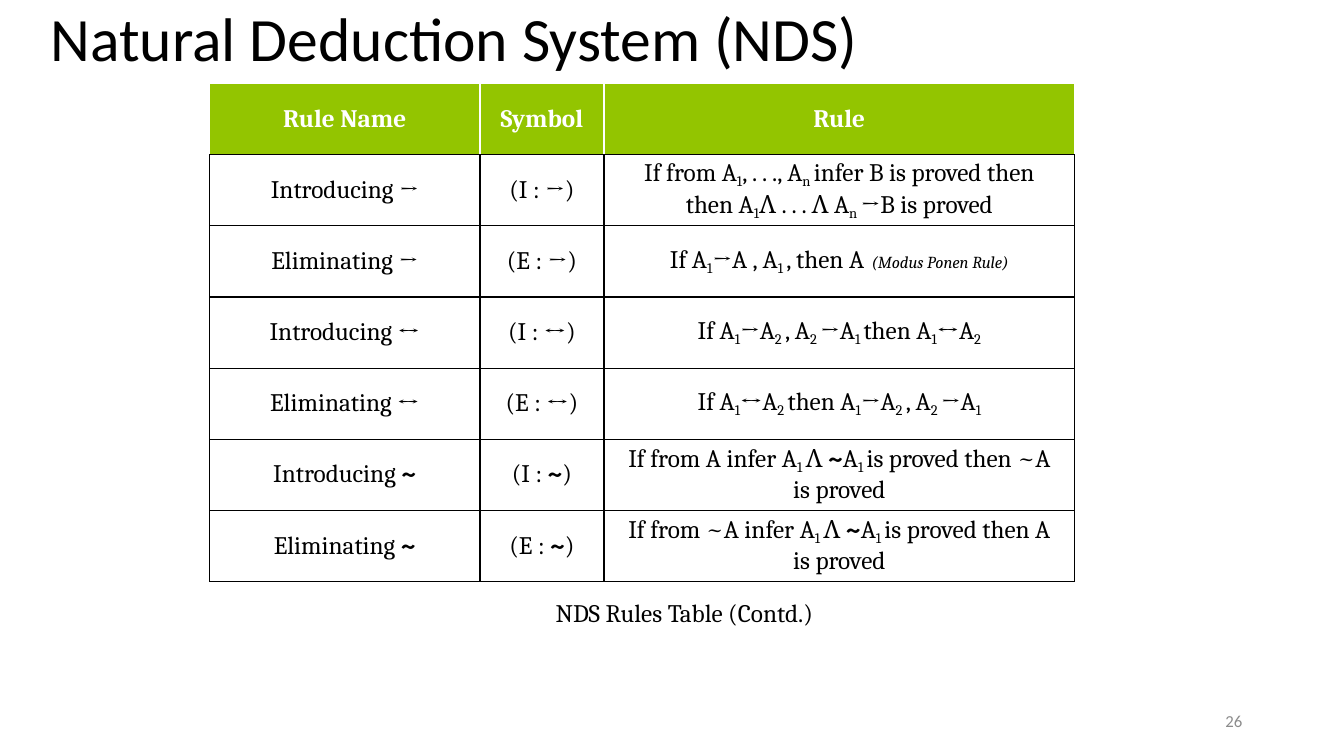
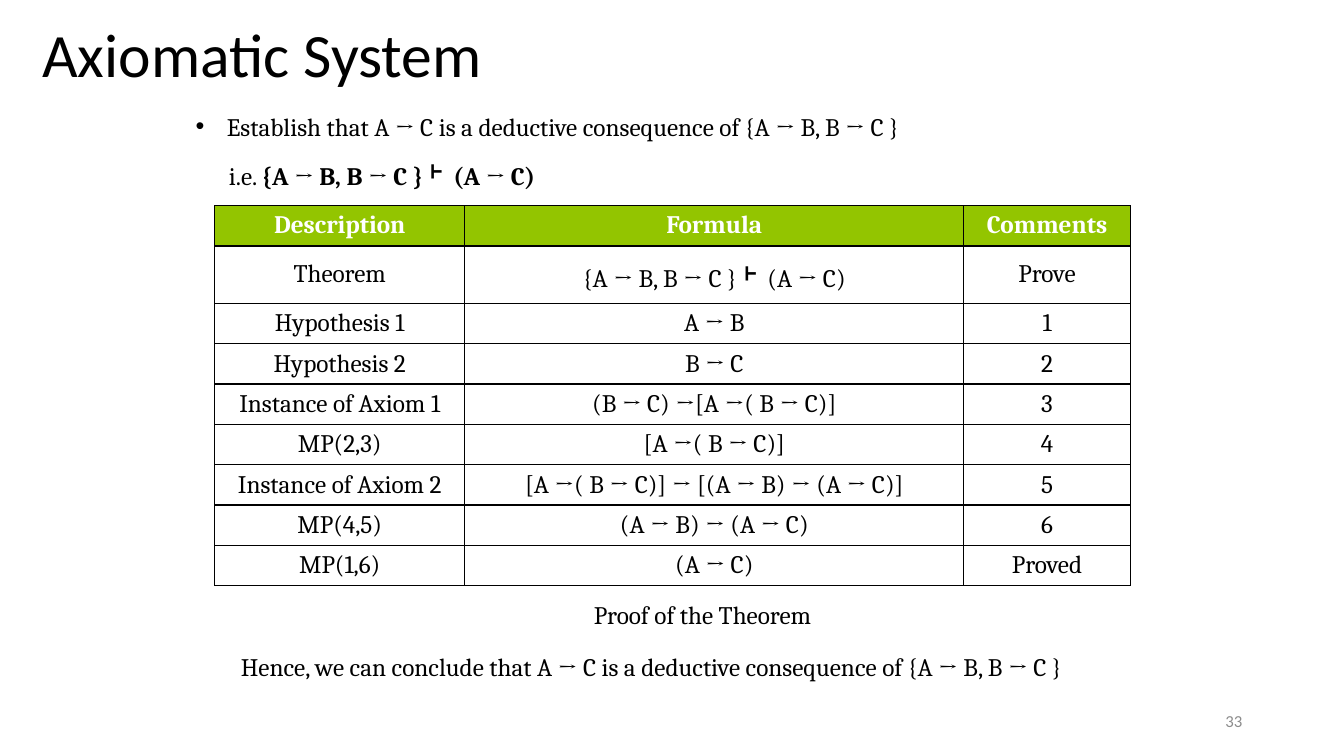
import lxml.etree
import pptx
import pptx.dml.color
import pptx.enum.text
import pptx.oxml.ns
import pptx.util

Inches = pptx.util.Inches
ALIGN = pptx.enum.text.PP_ALIGN
ANCHOR = pptx.enum.text.MSO_ANCHOR


def rgb(value):
    return pptx.dml.color.RGBColor.from_string(value)


def add_xml(parent, tag, **attributes):
    return lxml.etree.SubElement(parent, pptx.oxml.ns.qn(tag), attributes)


def bold(text):
    return text, {"bold": True}


def sub(text):
    return text, {"baseline": "-21000"}


def large(text, heavy=False):
    return text, {"size": 28, "bold": heavy}


def atom(index):
    return ["A", sub(index)]


class Deck:
    BLACK, WHITE, GREEN, GREY = "000000", "FFFFFF", "93C500", "8C8C8C"
    HEADING_FONT, TEXT_FONT = "Calibri", "Cambria"
    TITLE_SIZE, TEXT_SIZE, NUMBER_SIZE = 44, 18, 12
    TITLE_HEIGHT = Inches(0.68)

    def __init__(self):
        self.presentation = pptx.Presentation()
        self.presentation.slide_width = Inches(13.33)
        self.presentation.slide_height = Inches(7.5)
        self.slide = None

    def new_slide(self, layout):
        layouts = self.presentation.slide_layouts
        self.slide = self.presentation.slides.add_slide(layouts.get_by_name(layout))

    def runs(self, paragraph, pieces, size=TEXT_SIZE, font=TEXT_FONT, color=BLACK):
        for piece in pieces:
            text, style = (piece, {}) if isinstance(piece, str) else piece
            run = paragraph.add_run()
            run.text = text
            run.font.name = font
            run.font.size = pptx.util.Pt(style.get("size", size))
            run.font.bold = style.get("bold", False)
            run.font.italic = style.get("italic", False)
            run.font.color.rgb = rgb(color)
            if "baseline" in style:
                run.font._element.set("baseline", style["baseline"])

    def layout(self, paragraph, left=0, hanging=0, before=0, align=ALIGN.LEFT):
        paragraph.alignment = align
        paragraph.space_before = pptx.util.Pt(before)
        properties = paragraph._p.get_or_add_pPr()
        properties.set("marL", str(Inches(left)))
        properties.set("indent", str(Inches(-hanging)))
        return properties

    def frame(self, shape, margin=0.0, top=0.0, anchor=ANCHOR.TOP):
        frame = shape.text_frame
        frame.word_wrap = True
        frame.auto_size = pptx.enum.text.MSO_AUTO_SIZE.NONE
        frame.vertical_anchor = anchor
        frame.margin_left = frame.margin_right = Inches(margin)
        frame.margin_top = frame.margin_bottom = Inches(top)
        return frame

    def place(self, shape, left, top, width, height):
        shape.left, shape.top = Inches(left), Inches(top)
        shape.width, shape.height = Inches(width), height

    def title(self, text, left, top, width):
        heading = self.slide.shapes.title
        self.place(heading, left, top, width, self.TITLE_HEIGHT)
        paragraph = self.frame(heading, anchor=ANCHOR.MIDDLE).paragraphs[0]
        self.layout(paragraph)
        paragraph.line_spacing = 0.9
        self.runs(paragraph, [text], self.TITLE_SIZE, self.HEADING_FONT)

    def body(self, lines, left, top, width, height):
        statement = self.slide.placeholders[1]
        self.place(statement, left, top, width, Inches(height))
        frame = self.frame(statement, top=0.05)
        for index, pieces in enumerate(lines):
            paragraph = frame.add_paragraph() if index else frame.paragraphs[0]
            if index:
                add_xml(self.layout(paragraph, 0.35, before=3.7), "a:buNone")
            else:
                properties = self.layout(paragraph, 0.33, 0.31)
                add_xml(properties, "a:buFont", typeface="Arial")
                add_xml(properties, "a:buChar", char="•")
            self.runs(paragraph, pieces)

    def text(self, lines, left, top, width, height):
        box = self.slide.shapes.add_textbox(*map(Inches, (left, top, width, height)))
        frame = self.frame(box)
        for index, (pieces, indent) in enumerate(lines):
            paragraph = frame.add_paragraph() if index else frame.paragraphs[0]
            self.layout(paragraph, indent, before=15 if index else 0)
            self.runs(paragraph, pieces)

    def number(self, value):
        box = self.slide.shapes.add_textbox(*map(Inches, (9.42, 6.95, 3, 0.4)))
        paragraph = self.frame(box, 0.1, 0.05, ANCHOR.MIDDLE).paragraphs[0]
        self.layout(paragraph, align=ALIGN.RIGHT)
        self.runs(paragraph, [value], self.NUMBER_SIZE, self.HEADING_FONT, self.GREY)

    def border(self, cell, colors):
        properties = cell._tc.get_or_add_tcPr()
        for position, (side, color) in enumerate(zip("LRTB", colors)):
            line = lxml.etree.Element(pptx.oxml.ns.qn("a:ln" + side), w=str(pptx.util.Pt(1)))
            add_xml(add_xml(line, "a:solidFill"), "a:srgbClr", val=color)
            properties.insert(position, line)

    def cell(self, cell, lines, header, header_line):
        cell.margin_left = cell.margin_right = cell.margin_top = cell.margin_bottom = 0
        cell.vertical_anchor = ANCHOR.MIDDLE
        for index, pieces in enumerate(lines):
            frame = cell.text_frame
            paragraph = frame.add_paragraph() if index else frame.paragraphs[0]
            properties = self.layout(paragraph, align=ALIGN.CENTER)
            if any("\t" in piece for piece in pieces):
                stops = add_xml(properties, "a:tabLst")
                add_xml(stops, "a:tab", pos=str(Inches(2.43)), algn="l")
            self.runs(paragraph, pieces, color=self.WHITE if header else self.BLACK)
        if header:
            cell.fill.solid()
            cell.fill.fore_color.rgb = rgb(self.GREEN)
        else:
            cell.fill.background()
        self.border(cell, [header_line if header else self.BLACK] * 3 + [self.BLACK])

    def table(self, headings, rows, left, top, widths, heights, header_line=BLACK):
        grid = [[[[bold(heading)]] for heading in headings]] + rows
        table = self.slide.shapes.add_table(
            len(grid), len(widths), Inches(left), Inches(top),
            Inches(sum(widths)), Inches(sum(heights))).table
        table.first_row = table.horz_banding = False
        for column, width in zip(table.columns, widths):
            column.width = Inches(width)
        for row, height in zip(table.rows, heights):
            row.height = Inches(height)
        for r, row in enumerate(grid):
            for c, lines in enumerate(row):
                self.cell(table.cell(r, c), lines, r == 0, header_line)


def deduction_rules():
    arrow, double, negation = bold("→"), bold("↔"), bold("~")
    rules = [
        [["If from ", *atom("1"), ", . . ., ", *atom("n "), "infer B is proved then"],
         ["then ", *atom("1"), "Ʌ . . . Ʌ ", *atom("n "), "→B is proved"]],
        [["If ", *atom("1"), "→A , ", *atom("1 "), ", then A\t",
          ("(Modus Ponen Rule)", {"size": 12, "italic": True})]],
        [["If ", *atom("1"), arrow, *atom("2 "), ", ", *atom("2 "), arrow, *atom("1 "),
          "then ", *atom("1"), double, *atom("2")]],
        [["If ", *atom("1"), double, *atom("2 "), "then ", *atom("1"), arrow, *atom("2 "),
          ", ", *atom("2 "), arrow, *atom("1")]],
    ]
    for premise, conclusion in (("A", "~A"), ("~A", "A")):
        rules.append([
            [f"If from {premise} infer ", *atom("1 "), "Ʌ ", negation, *atom("1 "),
             f"is proved then {conclusion}"],
            ["is proved"]])
    kinds = [(verb, symbol) for symbol in "→↔~" for verb in ("Introducing", "Eliminating")]
    return [
        [[[verb + " ", symbol if symbol == "↔" else bold(symbol)]],
         [[f"({verb[0]} : ", bold(symbol), ")"]],
         rule]
        for (verb, symbol), rule in zip(kinds, rules)]


def proof_steps():
    steps = [
        ("Theorem", ["{A → B, B → C } ", large("˫ "), "(A → C)"], "Prove"),
        ("Hypothesis 1", ["A → B"], "1"),
        ("Hypothesis 2", ["B → C"], "2"),
        ("Instance of Axiom 1", ["(B → C) →[A →( B → C)]"], "3"),
        ("MP(2,3)", ["[A →( B → C)]"], "4"),
        ("Instance of Axiom 2", ["[A →( B → C)] → [(A → B) → (A → C)]"], "5"),
        ("MP(4,5)", ["(A → B) → (A → C)"], "6"),
        ("MP(1,6)", ["(A → C)"], "Proved"),
    ]
    return [[[[step]], [formula], [[comment]]] for step, formula, comment in steps]


def main():
    deck = Deck()

    deck.new_slide("Title Only")
    deck.title("Natural Deduction System (NDS)", 0.5, 0.07, 9.17)
    deck.table(["Rule Name", "Symbol", "Rule"], deduction_rules(), 2.08, 0.83,
               [2.68, 1.23, 4.67], [4.94 / 7] * 7, Deck.WHITE)
    deck.text([(["NDS Rules Table (Contd.)"], 0.01)], 5.5, 5.93, 2.69, 0.33)
    deck.number("26")

    deck.new_slide("Title and Content")
    deck.title("Axiomatic System", 0.42, 0.23, 4.73)
    claim = "A → C is a deductive consequence of {A → B, B → C }"
    deck.body([["Establish that " + claim],
               ["i.e. ", bold("{A → B, B → C } "), large("˫ ", True), bold("(A → C)")]],
              1.92, 1.05, 7.34, 0.88)
    deck.table(["Description", "Formula", "Comments"], proof_steps(), 2.13, 2.04,
               [2.48, 4.95, 1.65], [0.4, 0.57] + [0.4] * 7)
    deck.text([(["Proof of the Theorem"], 3.51),
               (["Hence, we can conclude that " + claim], 0.01)],
              2.38, 5.95, 8.57, 0.84)
    deck.number("33")

    deck.presentation.save("out.pptx")


if __name__ == "__main__":
    main()
